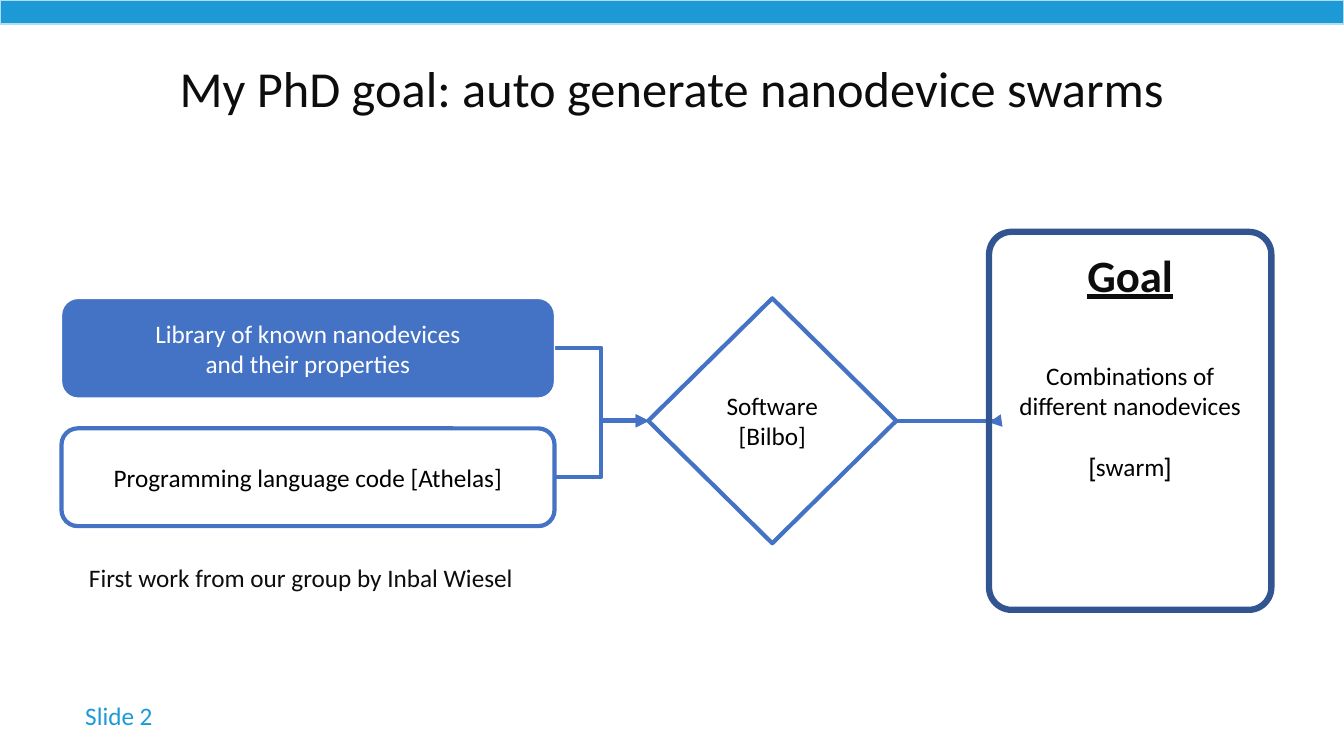
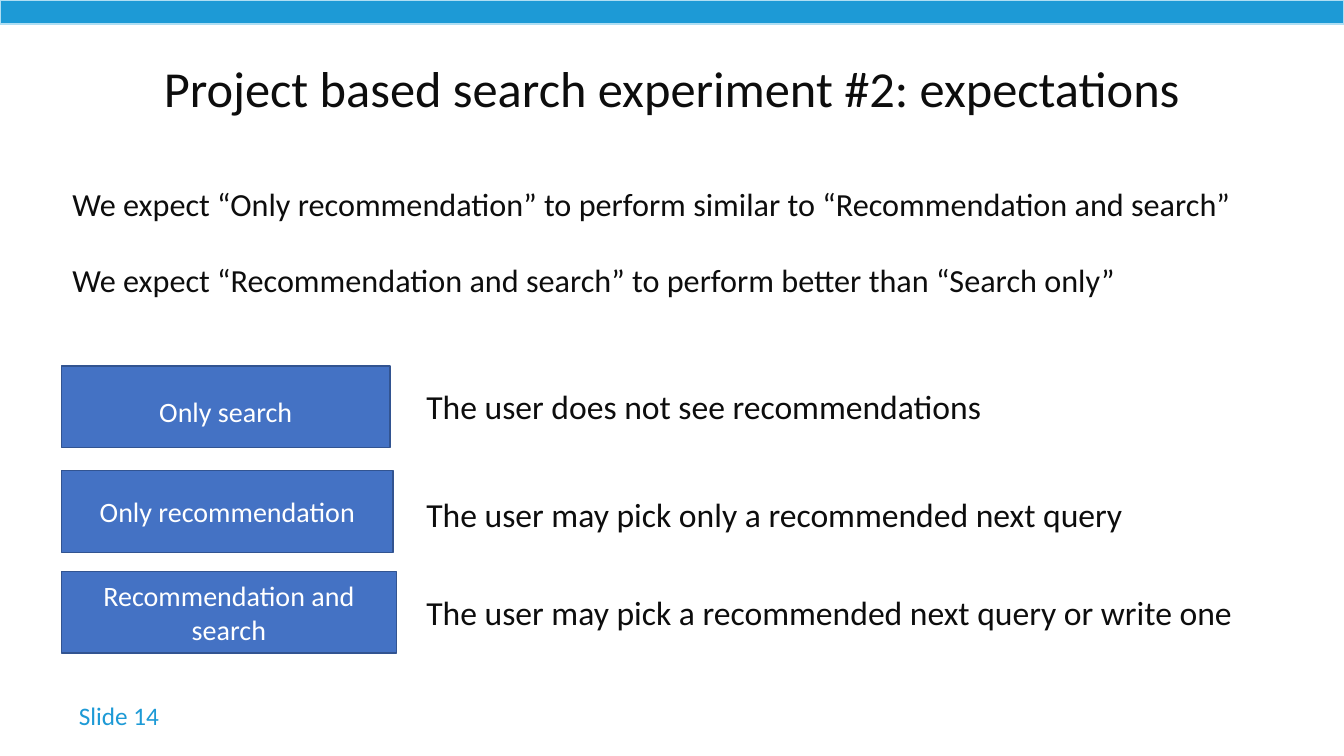
from lxml.etree import SubElement
from pptx import Presentation
from pptx.dml.color import RGBColor
from pptx.enum.shapes import MSO_CONNECTOR, MSO_SHAPE
from pptx.enum.text import MSO_ANCHOR, PP_ALIGN
from pptx.oxml.ns import qn
from pptx.util import Inches, Pt

SKY = RGBColor(0x1D, 0x9A, 0xD6)
PALE = RGBColor(0xAF, 0xDE, 0xF3)
BLUE = RGBColor(0x44, 0x72, 0xC4)
NAVY = RGBColor(0x32, 0x54, 0x91)
INK = RGBColor(0x0D, 0x0D, 0x0D)
BLACK = RGBColor(0, 0, 0)
WHITE = RGBColor(255, 255, 255)
FONT = "Calibri"
WIDTH, HEIGHT = 13.33, 7.5
LEFT = 0.61


def write(frame, *lines, size=18, color=INK, align=PP_ALIGN.CENTER, bold=False,
          under=False, gap=0, drop=0, flip=None):
    frame.word_wrap = True
    frame.vertical_anchor = MSO_ANCHOR.MIDDLE
    frame.margin_top = Inches(0.05 + drop)
    for i, line in enumerate(lines):
        para = frame.paragraphs[0] if i == 0 else frame.add_paragraph()
        para.text = line
        para.alignment = align
        if i:
            para.space_before = Pt(gap)
        if i == flip:
            para._p.get_or_add_pPr().set("rtl", "1")
        for run in para.runs:
            font = run.font
            font.name, font.size, font.bold = FONT, Pt(size), bold
            font.underline = under
            font.color.rgb = color


class Deck:
    def __init__(self):
        self.file = Presentation()
        self.file.slide_width = Inches(WIDTH)
        self.file.slide_height = Inches(HEIGHT)

    def start(self, title, number):
        self.slide = self.file.slides.add_slide(self.file.slide_layouts[6])
        self.box(0, 0, WIDTH, 0.24, fill=SKY, line=PALE)
        self.label(f"Slide {number}", LEFT, 6.85, 1.14, color=SKY)
        self.label(title, 0, 0.62, WIDTH, size=36)

    def label(self, text, x, y, w, h=0.49, **style):
        self.box(x, y, w, h, text, line=WHITE, **style)

    def head(self, text, x, y, w, h, **style):
        area = self.slide.shapes.add_textbox(*map(Inches, (x, y, w, h)))
        write(area.text_frame, text, **style)

    def box(self, x, y, w, h, *lines, kind=MSO_SHAPE.RECTANGLE, fill=None,
            line=BLUE, weight=1, curve=None, **style):
        shape = self.slide.shapes.add_shape(kind, *map(Inches, (x, y, w, h)))
        shape.shadow.inherit = False
        if curve:
            shape.adjustments[0] = curve
        if fill is None:
            shape.fill.background()
        else:
            shape.fill.solid()
            shape.fill.fore_color.rgb = fill
        shape.line.color.rgb = line
        shape.line.width = Pt(weight)
        write(shape.text_frame, *lines, **style)

    def arrow(self, x1, y1, x2, y2, bend=0.5):
        link = self.slide.shapes.add_connector(
            MSO_CONNECTOR.ELBOW, *map(Inches, (x1, y1, x2, y2)))
        link.line.color.rgb = BLUE
        link.line.width = Pt(3)
        SubElement(link.line._ln, qn("a:tailEnd"), type="triangle")
        props = link._element.spPr
        SubElement(props, qn("a:effectLst"))
        guides = props.find(qn("a:prstGeom")).get_or_add_avLst()
        SubElement(guides, qn("a:gd"), name="adj1", fmla=f"val {round(bend * 100000)}")


def goal(deck):
    deck.start("My PhD goal: auto generate nanodevice swarms", 2)
    deck.label("First work from our group by Inbal Wiesel", 0.65, 5.52, 4.67, 0.41)
    round_box = MSO_SHAPE.ROUNDED_RECTANGLE
    deck.box(0.61, 4.25, 4.89, 0.97, "Programming language code [Athelas]",
             kind=round_box, fill=WHITE, weight=3, color=BLACK)
    deck.box(6.43, 2.96, 2.46, 2.43, "Software", "[Bilbo]",
             kind=MSO_SHAPE.DIAMOND, weight=3, color=BLACK)
    deck.arrow(5.5, 4.73, 6.43, 4.18)
    deck.arrow(5.5, 3.45, 6.43, 4.17)
    deck.arrow(8.89, 4.18, 9.81, 4.19, bend=1.1)
    deck.box(9.81, 2.3, 2.8, 3.75, "Combinations of different nanodevices", "[swarm]",
             kind=round_box, line=NAVY, weight=4.5, curve=0.08, color=BLACK,
             gap=22, flip=1)
    deck.head("Goal", 10.68, 2.4, 1.06, 0.64, size=32, bold=True, under=True)
    deck.box(0.61, 2.96, 4.89, 0.99, "Library of known nanodevices\vand their properties",
             kind=round_box, fill=BLUE, line=WHITE, color=WHITE)


def hopes(deck):
    deck.start("Project based search experiment #2: expectations", 14)
    claims = (
        ("We expect “Only recommendation” to perform similar to “Recommendation and search”",
         1.77, 11.86),
        ("We expect “Recommendation and search” to perform better than “Search only”",
         2.53, 12.1),
    )
    for claim, top, width in claims:
        deck.label(claim, 0.62, top, width, size=23, align=PP_ALIGN.LEFT)
    modes = (
        ("Only search", 3.63, 3.26, 0.08,
         "The user does not see recommendations", 3.78, 8.01),
        ("Only recommendation", 4.67, 3.29, 0,
         "The user may pick only a recommended next query", 4.85, 8.01),
        ("Recommendation and search", 5.67, 3.32, 0,
         "The user may pick a recommended next query or write one", 5.83, 8.35),
    )
    for name, top, width, drop, note, level, span in modes:
        deck.box(LEFT, top, width, 0.81, name, fill=BLUE, line=NAVY,
                 size=20, color=WHITE, drop=drop)
        deck.label(note, 4.13, level, span, size=24, align=PP_ALIGN.LEFT)


def main():
    deck = Deck()
    goal(deck)
    hopes(deck)
    deck.file.save("out.pptx")


if __name__ == "__main__":
    main()
